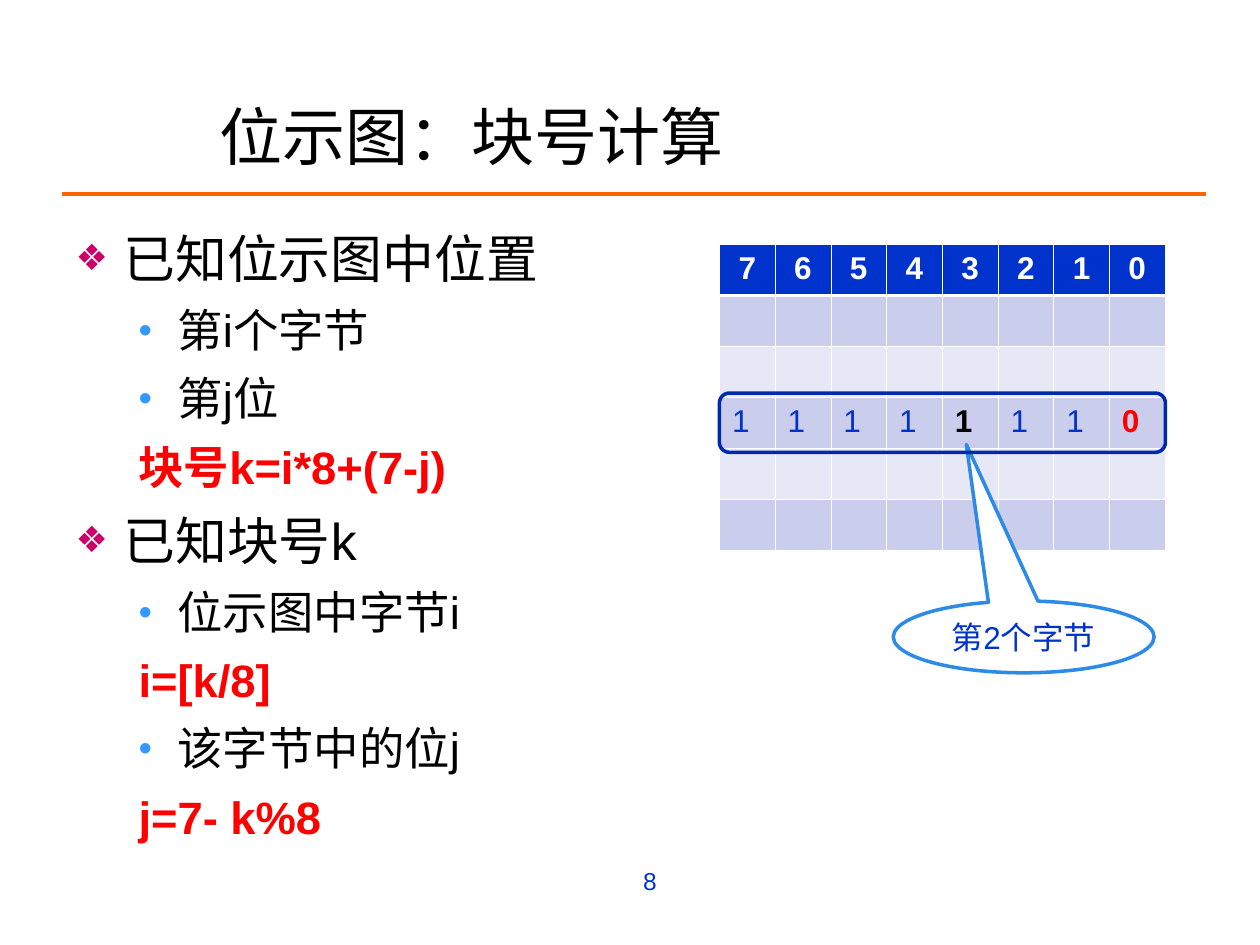
from typing import NamedTuple

from lxml import etree
from pptx import Presentation
from pptx import util as u
from pptx.dml.color import RGBColor
from pptx.enum import shapes, text
from pptx.oxml import ns

FONT = "Arial"
BLACK, WHITE, RED, BLUE = "000000", "FFFFFF", "FF0000", "0033CC"
ROW_FILLS = ("E7E8F6", "CBCDEC")
BIT_COUNT = 8
ROW_COUNT = 6
BYTE_ROW = 3
BYTE_VALUES = "11111110"
MARKED_BITS = {4: BLACK, 7: RED}


class Level(NamedTuple):
    size: float
    left: float
    hanging: float
    space_before: float
    bullet: str
    bullet_color: str
    bullet_percent: int


class Item(NamedTuple):
    words: str
    level: int
    is_formula: bool = False


LEVELS = (
    Level(29.6, 0.38, 0.38, 8.9, "❖", "CC0066", 70),
    Level(25.9, 0.81, 0.31, 7.8, "•", "3399FF", 85),
)
ITEMS = (
    Item("已知位示图中位置", 0),
    Item("第i个字节", 1),
    Item("第j位", 1),
    Item("块号k=i*8+(7-j)", 1, True),
    Item("已知块号k", 0),
    Item("位示图中字节i", 1),
    Item("i=[k/8]", 1, True),
    Item("该字节中的位j", 1),
    Item("j=7- k%8", 1, True),
)


def rgb(color: str) -> RGBColor:
    return RGBColor.from_string(color)


def add_element(parent, tag: str, **attributes):
    element = etree.SubElement(parent, ns.qn(tag))
    for name, value in attributes.items():
        element.set(name, str(value))
    return element


def place(shape, left: float, top: float, width: float, height: float) -> None:
    shape.left, shape.top = u.Inches(left), u.Inches(top)
    shape.width, shape.height = u.Inches(width), u.Inches(height)


def write(paragraph, words: str, size: float, color: str, bold: bool = False,
          align=text.PP_ALIGN.LEFT) -> None:
    paragraph.text = words
    paragraph.alignment = align
    font = paragraph.font
    font.name, font.size, font.bold = FONT, u.Pt(size), bold
    font.color.rgb = rgb(color)


def add_title(slide) -> None:
    title = slide.shapes.title
    place(title, 1.64, 0.75, 7.26, 0.64)
    frame = title.text_frame
    frame.auto_size = text.MSO_AUTO_SIZE.NONE
    frame.vertical_anchor = text.MSO_ANCHOR.MIDDLE
    write(frame.paragraphs[0], "位示图：块号计算", 36, BLACK)


def add_rule(slide) -> None:
    rule = slide.shapes.add_connector(
        shapes.MSO_CONNECTOR.STRAIGHT,
        u.Inches(0.49), u.Inches(1.54), u.Inches(9.57), u.Inches(1.54))
    rule.line.color.rgb = rgb("FF6600")
    rule.line.width = u.Pt(2.25)
    add_element(rule.element.spPr, "a:effectLst")


def format_item(paragraph, item: Item) -> None:
    level = LEVELS[item.level]
    write(paragraph, item.words, level.size,
          RED if item.is_formula else BLACK, item.is_formula)
    paragraph.level = item.level
    paragraph.space_before = u.Pt(level.space_before)
    properties = paragraph.font._element.getparent()
    properties.set("marL", str(u.Inches(level.left)))
    properties.set("indent", str(-u.Inches(level.hanging)))
    if item.is_formula:
        bullet_parts = [add_element(properties, "a:buNone")]
    else:
        color = add_element(properties, "a:buClr")
        add_element(color, "a:srgbClr", val=level.bullet_color)
        bullet_parts = [
            color,
            add_element(properties, "a:buSzPct", val=level.bullet_percent * 1000),
            add_element(properties, "a:buFont", typeface=FONT),
            add_element(properties, "a:buChar", char=level.bullet),
        ]
    for part in bullet_parts:
        paragraph.font._element.addprevious(part)


def add_list(slide) -> None:
    body = slide.placeholders[1]
    place(body, 0.5, 1.75, 4.42, 4.95)
    frame = body.text_frame
    frame.auto_size = text.MSO_AUTO_SIZE.NONE
    for index, item in enumerate(ITEMS):
        paragraph = frame.add_paragraph() if index else frame.paragraphs[0]
        format_item(paragraph, item)


def set_borders(cell, row: int) -> None:
    """White cell lines, thicker between the header and the first row."""
    thick_side = {0: "B", 1: "T"}.get(row)
    properties = cell._tc.get_or_add_tcPr()
    for side in "LRTB":
        width = u.Pt(1.47 if side == thick_side else 0.45)
        line = add_element(properties, f"a:ln{side}", w=width)
        fill = add_element(line, "a:solidFill")
        add_element(fill, "a:srgbClr", val=WHITE)


def add_bitmap_table(slide) -> None:
    table = slide.shapes.add_table(
        ROW_COUNT, BIT_COUNT, u.Inches(5.71), u.Inches(1.94),
        u.Inches(3.54), u.Inches(2.43)).table
    table.horz_banding = False
    for row in range(ROW_COUNT):
        for column in range(BIT_COUNT):
            cell = table.cell(row, column)
            set_borders(cell, row)
            cell.fill.solid()
            cell.fill.fore_color.rgb = rgb(ROW_FILLS[row % 2] if row else BLUE)
            paragraph = cell.text_frame.paragraphs[0]
            if row == 0:
                write(paragraph, str(BIT_COUNT - 1 - column), 18, WHITE, True,
                      text.PP_ALIGN.CENTER)
            elif row == BYTE_ROW:
                write(paragraph, BYTE_VALUES[column], 18,
                      MARKED_BITS.get(column, BLUE), column in MARKED_BITS)


def add_outlined_shape(slide, kind, box: tuple, adjustments: tuple, color: str):
    shape = slide.shapes.add_shape(kind, *map(u.Inches, box))
    shape.shadow.inherit = False
    for index, value in enumerate(adjustments):
        shape.adjustments[index] = value
    shape.line.color.rgb = rgb(color)
    shape.line.width = u.Pt(2)
    return shape


def add_byte_marks(slide) -> None:
    callout = add_outlined_shape(
        slide, shapes.MSO_SHAPE.OVAL_CALLOUT, (7.09, 4.77, 2.07, 0.57),
        (-0.22, -2.68), "2D8AE7")
    callout.fill.solid()
    callout.fill.fore_color.rgb = rgb(WHITE)
    frame = callout.text_frame
    frame.word_wrap = False
    frame.vertical_anchor = text.MSO_ANCHOR.MIDDLE
    write(frame.paragraphs[0], "第2个字节", 18, BLUE, align=text.PP_ALIGN.CENTER)

    byte_frame = add_outlined_shape(
        slide, shapes.MSO_SHAPE.ROUNDED_RECTANGLE, (5.71, 3.12, 3.54, 0.47),
        (0.17,), "002AAE")
    byte_frame.fill.background()


def add_page_number(slide) -> None:
    box = slide.shapes.add_textbox(
        u.Inches(2.8), u.Inches(6.82), u.Inches(2.51), u.Inches(0.52))
    box.text_frame.word_wrap = True
    write(box.text_frame.paragraphs[0], "8", 14, BLUE, align=text.PP_ALIGN.RIGHT)


def main() -> None:
    presentation = Presentation()
    presentation.slide_width = u.Inches(10)
    presentation.slide_height = u.Inches(7.5)
    slide = presentation.slides.add_slide(presentation.slide_layouts[1])
    add_rule(slide)
    add_title(slide)
    add_list(slide)
    add_page_number(slide)
    add_bitmap_table(slide)
    add_byte_marks(slide)
    presentation.save("out.pptx")


if __name__ == "__main__":
    main()
